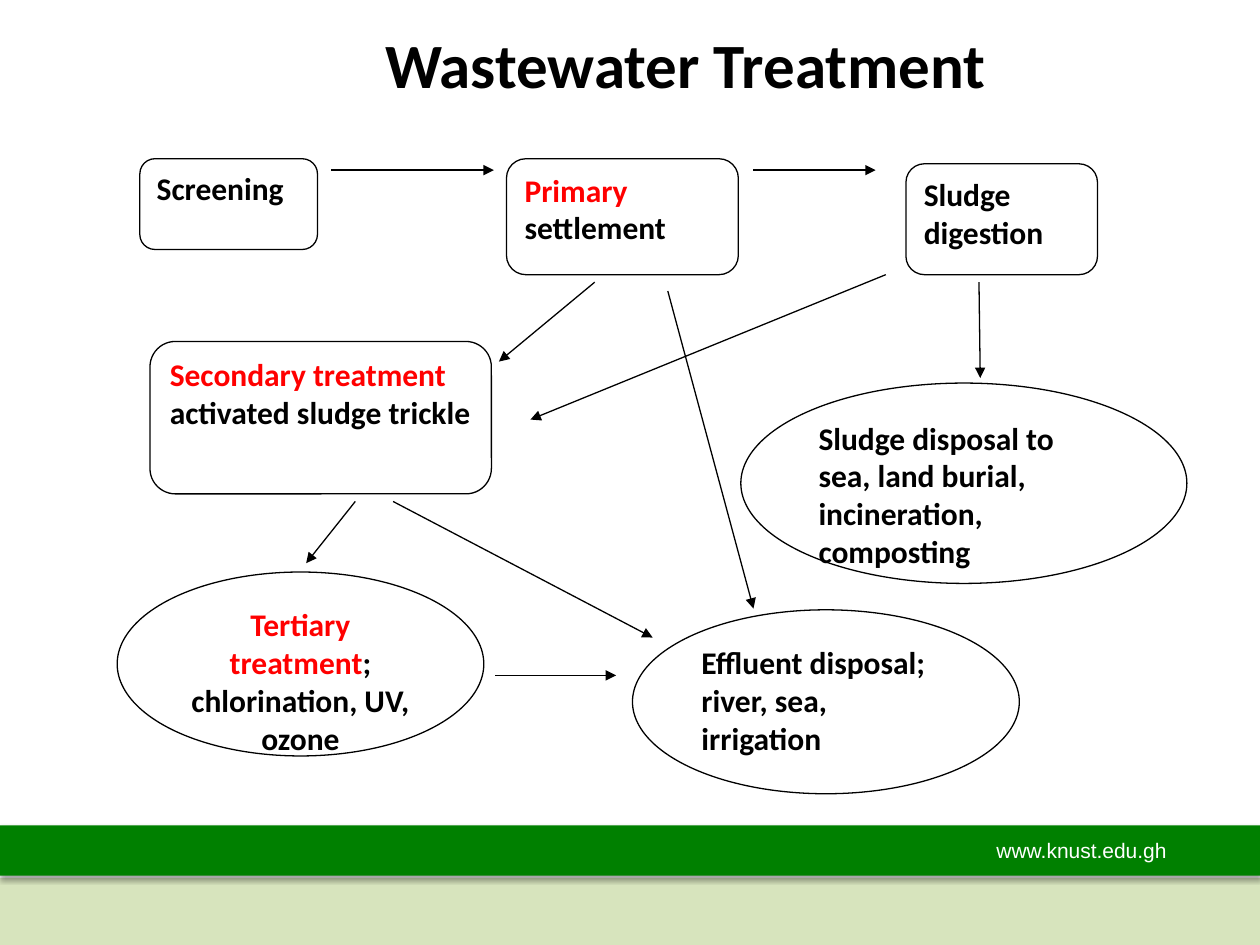
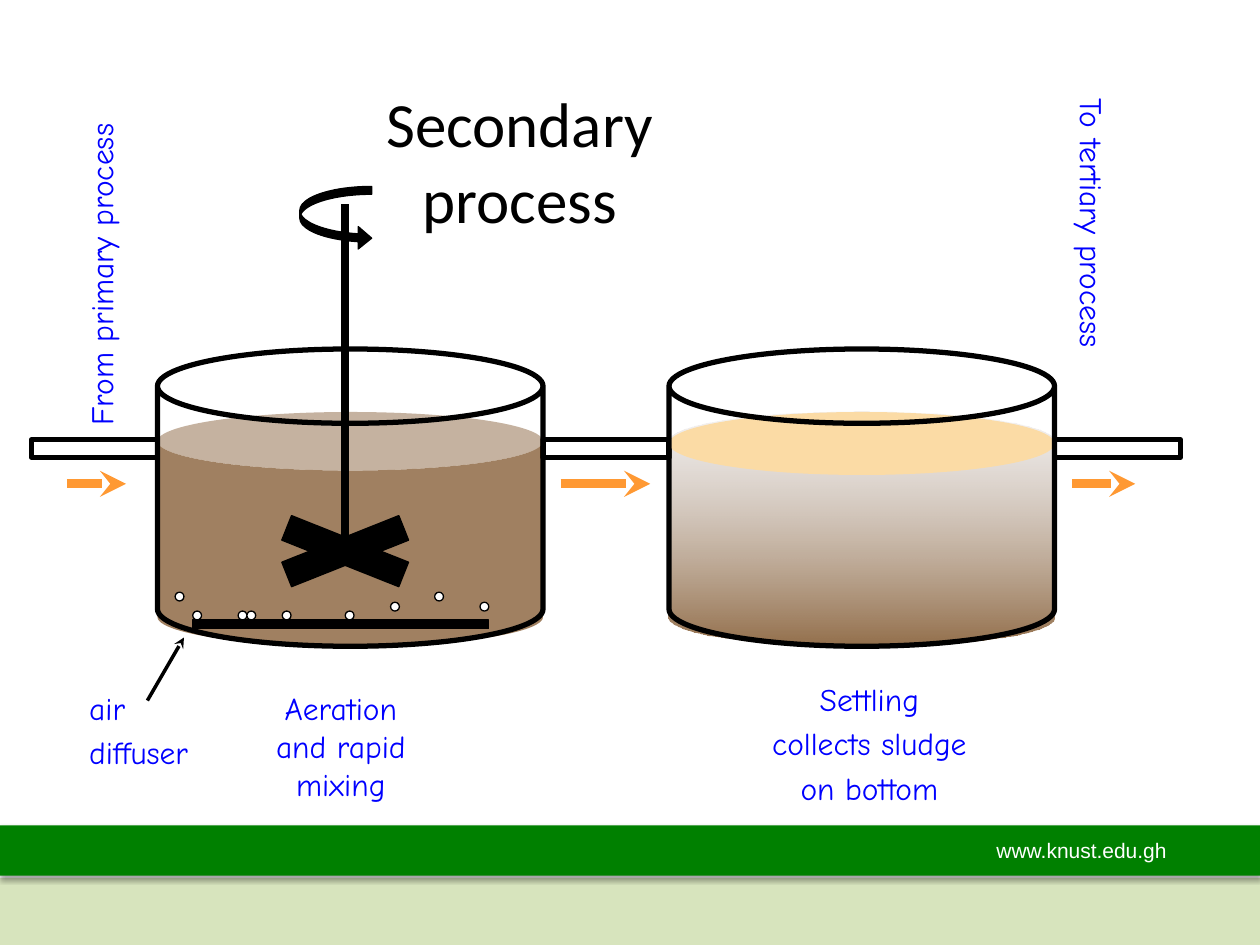
from dataclasses import dataclass

from lxml import etree
from pptx import Presentation
from pptx.dml.color import RGBColor
from pptx.enum.shapes import MSO_CONNECTOR, MSO_SHAPE
from pptx.enum.text import MSO_ANCHOR, MSO_AUTO_SIZE, PP_ALIGN
from pptx.oxml.ns import qn
from pptx.util import Inches, Pt

RECT, OVAL, CAN = MSO_SHAPE.RECTANGLE, MSO_SHAPE.OVAL, MSO_SHAPE.CAN
ROUND, PROCESS = MSO_SHAPE.ROUNDED_RECTANGLE, MSO_SHAPE.FLOWCHART_ALTERNATE_PROCESS
TURN, STRAIGHT = MSO_SHAPE.CURVED_RIGHT_ARROW, MSO_CONNECTOR.STRAIGHT
LEFT, CENTER, TOP = PP_ALIGN.LEFT, PP_ALIGN.CENTER, MSO_ANCHOR.TOP


@dataclass(frozen=True)
class Theme:
    black: str = "000000"
    white: str = "FFFFFF"
    red: str = "FF0000"
    blue: str = "0000FF"
    green: str = "008000"
    pale_green: str = "D7E4BD"
    orange: str = "FF9933"
    brown: str = "663300"
    grey: str = "D5D0CF"
    cream: str = "FBDBA5"
    main_font: str = "Calibri"
    label_font: str = "Comic Neue"
    footer_font: str = "Arial"
    title_size: float = 36
    text_size: float = 18
    footer_size: float = 12
    thin: float = 0.75
    thick: float = 3


T = Theme()
WIDTH, HEIGHT = 10, 7.5

# Shared footer: bands as (top, height, colour)
FOOTER = "www.knust.edu.gh"
BANDS = [(6.97, 0.53, T.pale_green), (6.55, 0.4, T.green)]

# Slide 1: stages as (shape, box, alignment, red words, black words)
FLOW_TITLE = "Wastewater Treatment"
STAGES = [
    (OVAL, (5.88, 3.04, 3.54, 1.59), LEFT, "",
     "Sludge disposal to sea, land burial, incineration, composting"),
    (PROCESS, (1.11, 1.26, 1.41, 0.72), LEFT, "", "Screening"),
    (PROCESS, (4.02, 1.26, 1.84, 0.92), LEFT, "Primary ", "settlement"),
    (ROUND, (7.19, 1.3, 1.52, 0.88), LEFT, "", "Sludge digestion"),
    (ROUND, (1.19, 2.71, 2.71, 1.21), LEFT,
     "Secondary treatment ", "activated sludge trickle"),
    (OVAL, (0.93, 4.54, 2.91, 1.46), CENTER,
     "Tertiary treatment", "; chlorination, UV, ozone"),
    (OVAL, (5.02, 4.84, 3.07, 1.46), LEFT, "",
     "Effluent disposal; river, sea, irrigation"),
]
FLOWS = [
    ((2.63, 1.35), (3.92, 1.35)),  # screening to primary
    ((5.98, 1.35), (6.95, 1.35)),  # primary to digestion
    ((4.72, 2.24), (3.96, 2.87)),  # primary to secondary
    ((7.03, 2.18), (4.21, 3.33)),  # digestion to secondary
    ((7.77, 2.24), (7.78, 3)),     # digestion to sludge disposal
    ((2.82, 3.98), (2.43, 4.47)),  # secondary to tertiary
    ((3.12, 3.98), (5.18, 5.06)),  # secondary to effluent
    ((5.3, 2.31), (5.98, 4.83)),   # primary to effluent
    ((3.93, 5.36), (4.89, 5.36)),  # tertiary to effluent
]

# Slide 2: pipes and tanks alternate along one line
TANK_TITLE = "Secondary process"
PIPE_X, PIPE_Y, PIPE_W, PIPE_H = 0.25, 3.49, 1, 0.14
TANK_W, TANK_Y, LIQUID_Y, TANK_BOTTOM = 3.06, 2.77, 3.27, 5.13
PITCH = PIPE_W + TANK_W
PIPES = [PIPE_X + i * PITCH for i in range(3)]
AERATION_X, SETTLING_X = [x + PIPE_W for x in PIPES[:2]]
FLOW_Y = 3.84
FLOW_SPANS = [(0.53, 1), (4.45, 5.16), (8.51, 9.01)]
BUBBLE = 0.07
BUBBLES = {4.7: [1.39, 3.45], 4.78: [3.1, 3.81],
           4.85: [1.53, 1.89, 1.96, 2.24, 2.74]}
SHAFT_X, BLADE_ANGLE = 2.74, 21.7
# Labels as (lines, box, rotation, alignment)
LABELS = [
    (["Aeration and rapid mixing"], (2.03, 5.42, 1.35, 0.91), 0, CENTER),
    (["Settling", "collects sludge", "on bottom"], (5.8, 5.35, 2.2, 1.05), 0, CENTER),
    (["air", "diffuser"], (0.61, 5.42, 1.2, 0.7), 0, LEFT),
    (["From primary process"], (-0.72, 2, 3, 0.36), 270, CENTER),
    (["To tertiary process"], (7.19, 1.59, 3, 0.36), 90, CENTER),
]


def inches(values):
    return [Inches(v) for v in values]


def rgb(colour):
    return RGBColor.from_string(colour)


def add_run(p, text, colour, font, size, bold=False):
    r = p.add_run()
    r.text = text
    r.font.name, r.font.size, r.font.bold = font, Pt(size), bold
    r.font.color.rgb = rgb(colour)


def set_alpha(sp, percents):
    colours = sp._element.spPr.iter(qn("a:srgbClr"))
    for colour, percent in zip(colours, percents):
        etree.SubElement(colour, qn("a:alpha"), val=str(percent * 1000))


def add_shape(s, kind, box, fill=None, line=None, width=T.thin, rotation=0):
    sp = s.shapes.add_shape(kind, *inches(box))
    sp.shadow.inherit = False
    sp.rotation = rotation
    if fill:
        sp.fill.solid()
        sp.fill.fore_color.rgb = rgb(fill)
    else:
        sp.fill.background()
    if line:
        sp.line.color.rgb = rgb(line)
        sp.line.width = Pt(width)
    else:
        sp.line.fill.background()
    return sp


def add_line(s, start, end, colour=T.black, width=T.thin, head=None):
    c = s.shapes.add_connector(STRAIGHT, *inches(start + end))
    c.line.color.rgb = rgb(colour)
    c.line.width = Pt(width)
    if head:
        etree.SubElement(c.line._get_or_add_ln(), qn("a:tailEnd"), type=head)
    etree.SubElement(c._element.spPr, qn("a:effectLst"))


def add_text(s, lines, box, colour, font, size, align=LEFT, rotation=0):
    sp = s.shapes.add_textbox(*inches(box))
    sp.rotation = rotation
    tf = sp.text_frame
    tf.word_wrap = True
    for i, text in enumerate(lines):
        p = tf.add_paragraph() if i else tf.paragraphs[0]
        p.alignment = align
        if i:
            p.space_before = Pt(3.6)
        add_run(p, text, colour, font, size)


def new_slide(prs, title, box, bold):
    s = prs.slides.add_slide(prs.slide_layouts[5])
    # Footer bands with a soft shadow below
    for top, height, colour in BANDS:
        sp = add_shape(s, RECT, (0, top, WIDTH, height), colour)
        effects = sp._element.spPr.find(qn("a:effectLst"))
        shadow = etree.SubElement(effects, qn("a:outerShdw"), blurRad="40000",
                                  dist="23000", dir="5400000", rotWithShape="0")
        black = etree.SubElement(shadow, qn("a:srgbClr"), val=T.black)
        etree.SubElement(black, qn("a:alpha"), val="35000")
    add_text(s, [FOOTER], (7.81, 6.6, 1.69, 0.3), T.white, T.footer_font, T.footer_size)
    # Title
    sp = s.shapes.title
    sp.left, sp.top, sp.width, sp.height = inches(box)
    tf = sp.text_frame
    tf.auto_size, tf.vertical_anchor, tf.word_wrap = MSO_AUTO_SIZE.NONE, TOP, True
    p = tf.paragraphs[0]
    p.alignment = CENTER
    add_run(p, title, T.black, T.main_font, T.title_size, bold)
    return s


def flow_slide(prs):
    s = new_slide(prs, FLOW_TITLE, (2.19, 0.15, 6.5, 0.71), True)
    for kind, box, align, red, black in STAGES:
        sp = add_shape(s, kind, box, T.white, T.black)
        tf = sp.text_frame
        tf.vertical_anchor = TOP
        if kind == OVAL and align == LEFT:
            tf.margin_right = Inches(0.2)
        p = tf.paragraphs[0]
        p.alignment = align
        for text, colour in ((red, T.red), (black, T.black)):
            if text:
                add_run(p, text, colour, T.main_font, T.text_size, True)
    for start, end in FLOWS:
        add_line(s, start, end, head="triangle")


def add_liquid(s, x):
    box = (x, LIQUID_Y, TANK_W, TANK_BOTTOM - LIQUID_Y)
    return add_shape(s, CAN, box, T.brown)


def add_tank(s, x):
    box = (x, TANK_Y, TANK_W, TANK_BOTTOM - TANK_Y)
    add_shape(s, CAN, box, line=T.black, width=T.thick)


def tank_slide(prs):
    s = new_slide(prs, TANK_TITLE, (2.9, 0.62, 2.45, 1.3), False)
    for x in PIPES:
        add_shape(s, RECT, (x, PIPE_Y, PIPE_W, PIPE_H), line=T.black, width=T.thick)

    # Aeration tank
    set_alpha(add_liquid(s, AERATION_X), [62])
    add_tank(s, AERATION_X)
    add_shape(s, RECT, (1.53, 4.92, 2.35, 0.07), T.black, T.black)
    for y, row in BUBBLES.items():
        for x in row:
            add_shape(s, OVAL, (x, y, BUBBLE, BUBBLE), T.white, T.black)

    # Mixer
    add_line(s, (SHAFT_X, 1.62), (SHAFT_X, 4.49), width=4.5)
    for angle in (BLADE_ANGLE, 360 - BLADE_ANGLE):
        add_shape(s, RECT, (SHAFT_X - 0.5, 4.27, 1, 0.21), T.black, T.black, rotation=angle)
    turn = add_shape(s, TURN, (2.38, 1.48, 0.57, 0.5), T.black, T.black)
    for i, value in enumerate((0.125, 0.356, 0.213)):
        turn.adjustments[i] = value

    # Settling tank
    liquid = add_liquid(s, SETTLING_X)
    liquid.fill.gradient()
    liquid.fill.gradient_angle = 270
    for stop, colour in zip(liquid.fill.gradient_stops, (T.grey, T.brown)):
        stop.color.rgb = rgb(colour)
    set_alpha(liquid, [38, 71])
    add_shape(s, OVAL, (SETTLING_X, LIQUID_Y, TANK_W, 0.5), T.cream)
    add_tank(s, SETTLING_X)

    # Labels and flow arrows
    for lines, box, rotation, align in LABELS:
        add_text(s, lines, box, T.blue, T.label_font, T.text_size, align, rotation)
    add_line(s, (1.17, 5.56), (1.46, 5.06), width=2, head="stealth")
    for x1, x2 in FLOW_SPANS:
        add_line(s, (x1, FLOW_Y), (x2, FLOW_Y), T.orange, 5, "stealth")


def main():
    prs = Presentation()
    prs.slide_width, prs.slide_height = inches((WIDTH, HEIGHT))
    flow_slide(prs)
    tank_slide(prs)
    prs.save("out.pptx")


if __name__ == "__main__":
    main()
